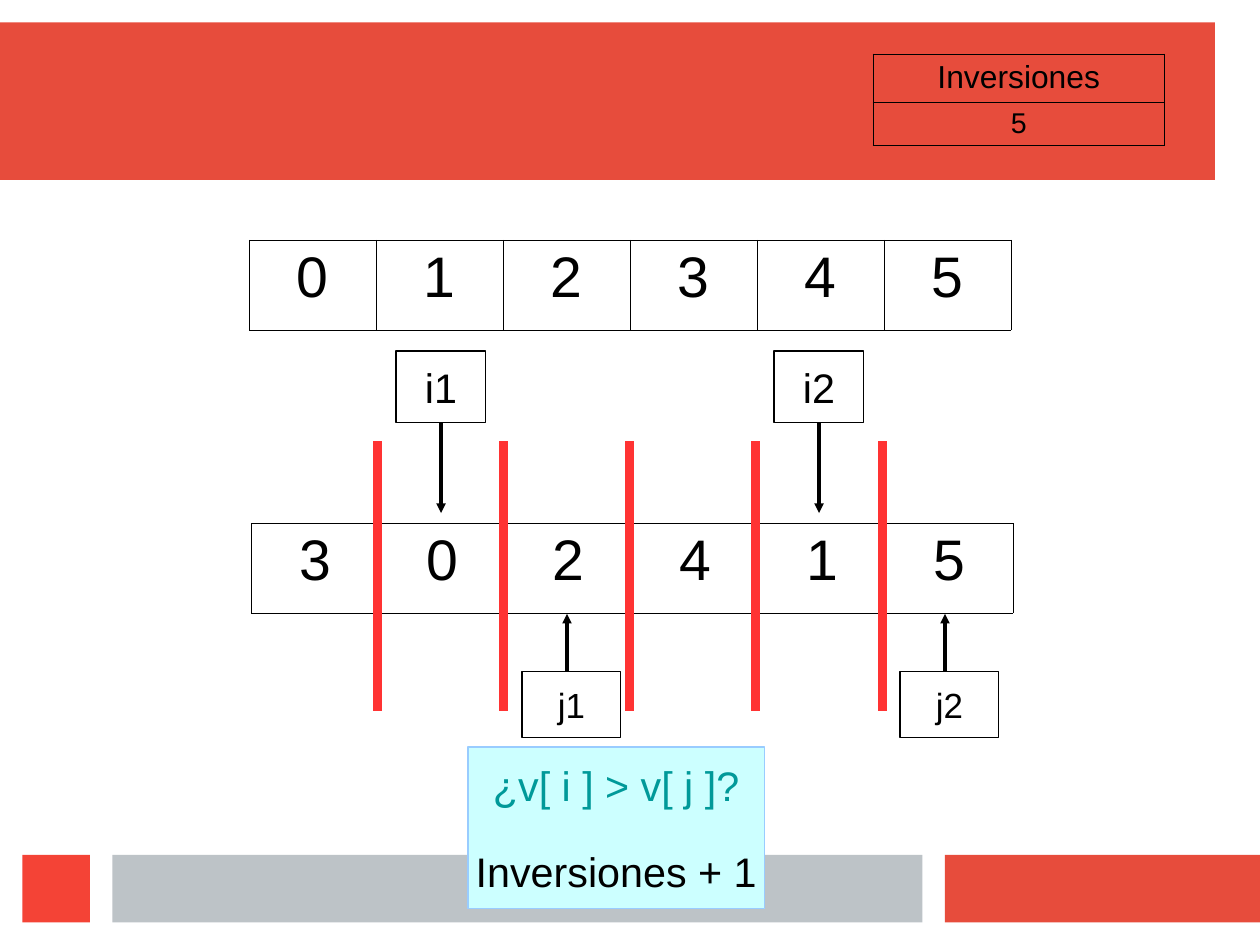
from dataclasses import dataclass

from lxml.etree import SubElement
from pptx import Presentation
from pptx.dml.color import RGBColor
from pptx.enum.shapes import MSO_CONNECTOR, MSO_SHAPE
from pptx.enum.text import MSO_ANCHOR, PP_ALIGN
from pptx.oxml.ns import qn
from pptx.util import Cm, Pt

BLACK, WHITE = "000000", "FFFFFF"
RED, DIVIDER_RED = "E74C3C", "FF3333"


@dataclass
class Band:
    left: float
    top: float
    width: float
    height: float
    color: str


@dataclass
class Grid:
    left: float
    top: float
    column_width: float
    row_heights: list[float]
    rows: list[list[str]]
    sizes: list[float]
    border: float


@dataclass
class Pointer:
    label: str
    left: float
    top: float
    width: float
    height: float
    size: float
    arrow_x: float
    arrow_start: float
    arrow_end: float


def rgb(color: str) -> RGBColor:
    return RGBColor.from_string(color)


def write(paragraph, text: str, *, size: float, color: str = BLACK, before: float = 0) -> None:
    paragraph.alignment = PP_ALIGN.CENTER
    if before:
        paragraph.space_before = Pt(before)
    run = paragraph.add_run()
    run.text = text
    run.font.name = "Arial"
    run.font.size = Pt(size)
    run.font.color.rgb = rgb(color)


def draw_rectangle(slide, left: float, top: float, width: float, height: float,
                   fill: str, outline: str | None = None):
    rectangle = slide.shapes.add_shape(
        MSO_SHAPE.RECTANGLE, Cm(left), Cm(top), Cm(width), Cm(height))
    rectangle.shadow.inherit = False
    rectangle.fill.solid()
    rectangle.fill.fore_color.rgb = rgb(fill)
    if outline:
        rectangle.line.color.rgb = rgb(outline)
        rectangle.line.width = Pt(0)
    else:
        rectangle.line.fill.background()
    frame = rectangle.text_frame
    frame.word_wrap = False
    frame.vertical_anchor = MSO_ANCHOR.MIDDLE
    return frame


def draw_vertical(slide, x: float, start: float, end: float, color: str,
                  width: float, arrow: bool = False) -> None:
    line = slide.shapes.add_connector(
        MSO_CONNECTOR.STRAIGHT, Cm(x), Cm(start), Cm(x), Cm(end))
    line.line.color.rgb = rgb(color)
    line.line.width = Pt(width)
    properties = line._element.spPr
    if arrow:
        SubElement(properties.find(qn("a:ln")), qn("a:tailEnd"), type="triangle")
    SubElement(properties, qn("a:effectLst"))


def draw_borders(cell, width: float) -> None:
    properties = cell._tc.get_or_add_tcPr()
    for side in ("lnL", "lnR", "lnT", "lnB"):
        border = SubElement(properties, qn(f"a:{side}"), w=str(Pt(width)))
        fill = SubElement(border, qn("a:solidFill"))
        SubElement(fill, qn("a:srgbClr"), val=BLACK)


def draw_grid(slide, grid: Grid) -> None:
    columns = len(grid.rows[0])
    table = slide.shapes.add_table(
        len(grid.rows), columns, Cm(grid.left), Cm(grid.top),
        Cm(grid.column_width * columns), Cm(sum(grid.row_heights))).table
    table.first_row = table.horz_banding = False
    for column in table.columns:
        column.width = Cm(grid.column_width)
    for r, (values, height, size) in enumerate(zip(grid.rows, grid.row_heights, grid.sizes)):
        table.rows[r].height = Cm(height)
        for c, value in enumerate(values):
            cell = table.cell(r, c)
            draw_borders(cell, grid.border)
            cell.fill.background()
            write(cell.text_frame.paragraphs[0], value, size=size)


def draw_pointer(slide, pointer: Pointer) -> None:
    draw_vertical(slide, pointer.arrow_x, pointer.arrow_start, pointer.arrow_end,
                  BLACK, 0, arrow=True)
    frame = draw_rectangle(slide, pointer.left, pointer.top, pointer.width,
                           pointer.height, WHITE, BLACK)
    write(frame.paragraphs[0], pointer.label, size=pointer.size)


def main() -> None:
    deck = Presentation()
    deck.slide_width, deck.slide_height = Cm(28), Cm(21)
    slide = deck.slides.add_slide(deck.slide_layouts[6])

    # Header and footer bands
    for band in (
        Band(0, 0.5, 27, 3.5, RED),
        Band(21, 19, 7, 1.5, RED),
        Band(2.5, 19, 18, 1.5, "BDC3C7"),
        Band(0.5, 19, 1.5, 1.5, "F44336"),
    ):
        draw_rectangle(slide, band.left, band.top, band.width, band.height, band.color)

    # Indices, vector and inversion counter
    for grid in (
        Grid(5.54, 5.33, 2.82, [2], [list("012345")], [36], 0.06),
        Grid(5.59, 11.63, 2.82, [2], [list("302415")], [36], 0.06),
        Grid(19.4, 1.2, 6.48, [1.07, 0.97], [["Inversiones"], ["5"]], [20, 18], 0.57),
    ):
        draw_grid(slide, grid)

    # Dividers between vector positions
    spacing = 2.8
    for position in range(5):
        draw_vertical(slide, 8.4 + position * spacing, 9.8, 15.8, DIVIDER_RED, 5.67)

    # Pointers i and j of each compared pair, three positions apart
    for pair in (1, 2):
        shift = (pair - 1) * 3 * spacing
        draw_pointer(slide, Pointer(f"i{pair}", 8.8 + shift, 7.8, 2, 1.6, 26,
                                    9.8 + shift, 9.2, 11.4))
        draw_pointer(slide, Pointer(f"j{pair}", 11.6 + shift, 14.93, 2.2, 1.47, 22,
                                    12.6 + shift, 15.1, 13.64))

    # Comparison and its result
    comparison = draw_rectangle(slide, 10.4, 16.6, 6.6, 3.6, "CCFFFF", "99CCFF")
    write(comparison.paragraphs[0], "¿v[ i ] > v[ j ]?", size=26, color="009999")
    write(comparison.add_paragraph(), "Inversiones + 1", size=26, before=23)

    deck.save("out.pptx")


if __name__ == "__main__":
    main()
